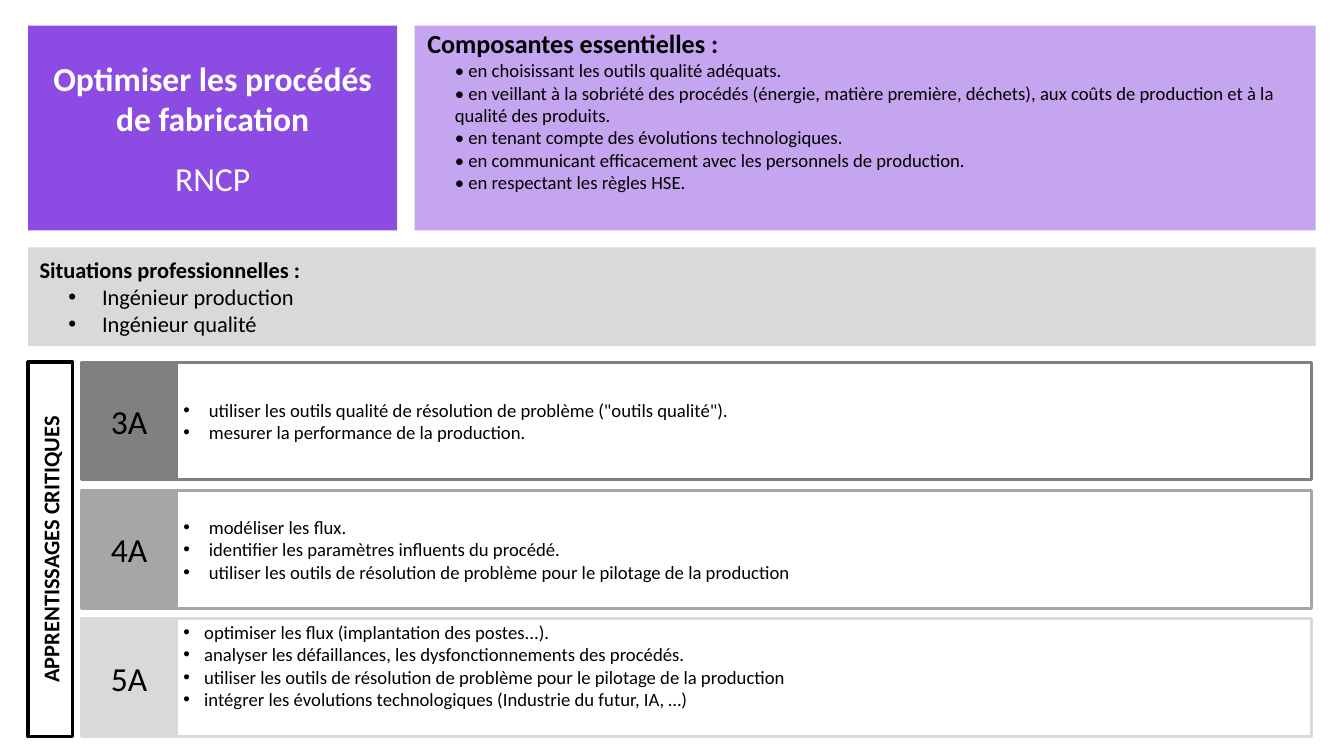
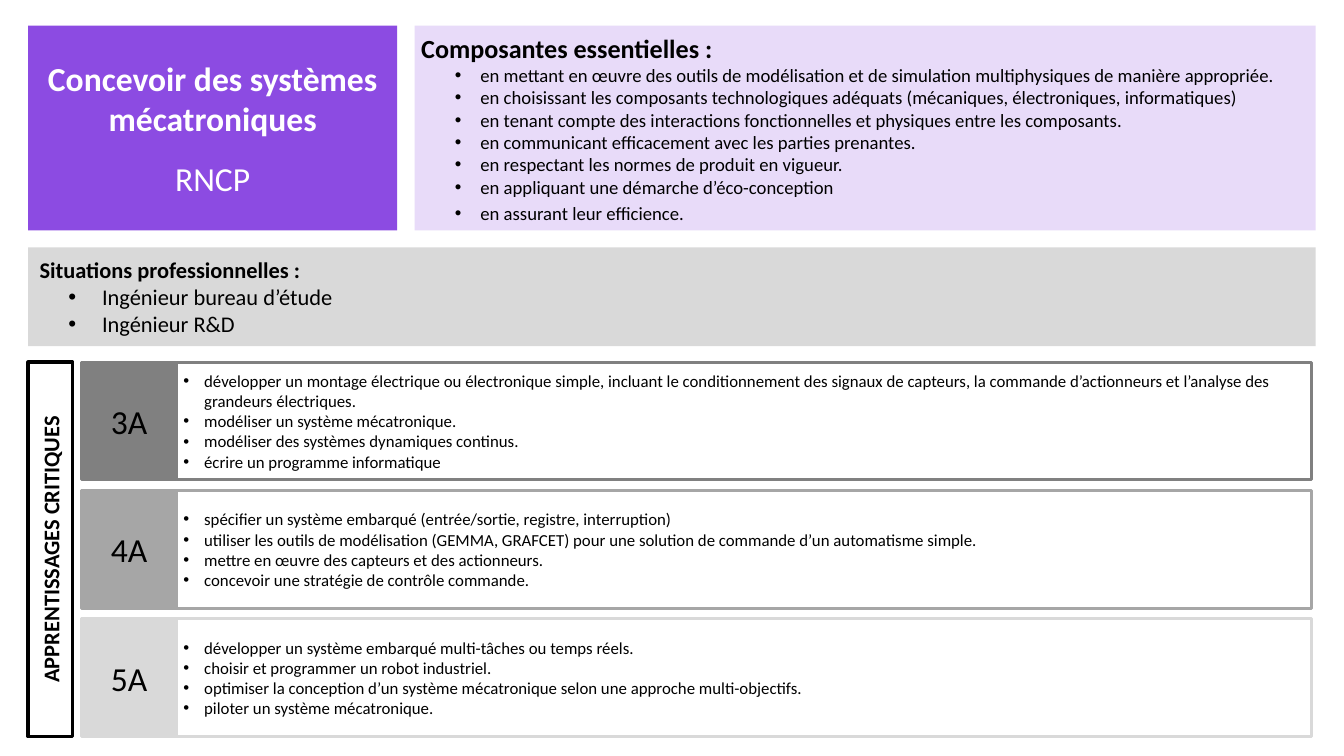
import pptx
import pptx.dml.color
import pptx.enum.shapes
import pptx.enum.text
import pptx.oxml.ns
import pptx.util
from lxml import etree

Inches = pptx.util.Inches
Pt = pptx.util.Pt
ALIGN = pptx.enum.text.PP_ALIGN
ANCHOR = pptx.enum.text.MSO_ANCHOR

FONT = "Calibri"
PURPLE, BLACK, WHITE, LIGHT_GREY = "8C4BE2", "000000", "FFFFFF", "D9D9D9"
YEARS = [("3A", "808080"), ("4A", "A6A6A6"), ("5A", LIGHT_GREY)]

LEFT, RIGHT = 0.42, 19.58
HEADER_TOP, HEADER_HEIGHT = 0.38, 3.05
TITLE_WIDTH, COMPONENTS_LEFT = 5.49, 6.17
ROWS_TOP, ROW_HEIGHT, ROW_STEP = 5.39, 1.75, 1.91
SIDE_WIDTH = 0.66
YEAR_LEFT, YEAR_WIDTH, ROWS_RIGHT = 1.21, 1.42, 19.52

# Indents are (left margin, first line); a "top" inset anchors the text at the top.
SKILLS = [
    {
        "title": "Optimiser les procédés de fabrication",
        "components": {
            "opacity": 50, "top": 0.03, "heading_margin": 0.09,
            "indent": (0.5, 0), "bullet": False, "last_gap": 0,
            "items": [
                "• en choisissant les outils qualité adéquats.",
                "• en veillant à la sobriété des procédés (énergie, matière première, déchets), "
                "aux coûts de production et à la qualité des produits.",
                "• en tenant compte des évolutions technologiques.",
                "• en communicant efficacement avec les personnels de production.",
                "• en respectant les règles HSE.",
            ],
        },
        "situations": ["Ingénieur production", "Ingénieur qualité"],
        "size": 20,
        "years": [
            {"margin": 0.38, "items": [
                'utiliser les outils qualité de résolution de problème ("outils qualité").',
                "mesurer la performance de la production.",
            ]},
            {"margin": 0.38, "items": [
                "modéliser les flux.",
                "identifier les paramètres influents du procédé.",
                "utiliser les outils de résolution de problème pour le pilotage de la production",
            ]},
            {"margin": 0.31, "top": 0.03, "items": [
                "optimiser les flux (implantation des postes...).",
                "analyser les défaillances, les dysfonctionnements des procédés.",
                "utiliser les outils de résolution de problème pour le pilotage de la production",
                "intégrer les évolutions technologiques (Industrie du futur, IA, …)",
            ]},
        ],
    },
    {
        "title": "Concevoir des systèmes mécatroniques",
        "components": {
            "opacity": 20, "top": 0.1, "heading_margin": 0,
            "indent": (0.88, -0.38), "bullet": True, "last_gap": 4,
            "items": [
                "en mettant en œuvre des outils de modélisation et de simulation "
                "multiphysiques de manière appropriée.",
                "en choisissant les composants technologiques adéquats "
                "(mécaniques, électroniques, informatiques)",
                "en tenant compte des interactions fonctionnelles et physiques entre les composants.",
                "en communicant efficacement avec les parties prenantes.",
                "en respectant les normes de produit en vigueur.",
                "en appliquant une démarche d’éco-conception",
                "en assurant leur efficience.",
            ],
        },
        "situations": ["Ingénieur bureau d’étude", "Ingénieur R&D"],
        "size": 18,
        "years": [
            {"margin": 0.31, "items": [
                "développer un montage électrique ou électronique simple, incluant le "
                "conditionnement des signaux de capteurs, la commande d’actionneurs et "
                "l’analyse des grandeurs électriques.",
                "modéliser un système mécatronique.",
                "modéliser des systèmes dynamiques continus.",
                "écrire un programme informatique",
            ]},
            {"margin": 0.31, "items": [
                "spécifier un système embarqué (entrée/sortie, registre, interruption)",
                "utiliser les outils de modélisation (GEMMA, GRAFCET) pour une solution de "
                "commande d’un automatisme simple.",
                "mettre en œuvre des capteurs et des actionneurs.",
                "concevoir une stratégie de contrôle commande.",
            ]},
            {"margin": 0.31, "items": [
                "développer un système embarqué multi-tâches ou temps réels.",
                "choisir et programmer un robot industriel.",
                "optimiser la conception d’un système mécatronique selon une approche multi-objectifs.",
                "piloter un système mécatronique.",
            ]},
        ],
    },
]


def color(value):
    return pptx.dml.color.RGBColor.from_string(value)


def add_box(slide, left, top, width, height, fill, line=None, line_width=3, text_top=None):
    shape = slide.shapes.add_shape(
        pptx.enum.shapes.MSO_SHAPE.RECTANGLE,
        Inches(left), Inches(top), Inches(width), Inches(height))
    shape.shadow.inherit = False
    shape.fill.solid()
    shape.fill.fore_color.rgb = color(fill)
    if line:
        shape.line.color.rgb = color(line)
        shape.line.width = Pt(line_width)
    else:
        shape.line.fill.background()
    frame = shape.text_frame
    frame.word_wrap = True
    frame.vertical_anchor = ANCHOR.MIDDLE
    if text_top is not None:
        frame.vertical_anchor = ANCHOR.TOP
        frame.margin_top = Inches(text_top)
    return shape


def set_opacity(shape, percent):
    namespace = pptx.oxml.ns.qn
    fill_color = shape.fill._xPr.find(namespace("a:solidFill")).find(namespace("a:srgbClr"))
    etree.SubElement(fill_color, namespace("a:alpha"), val=str(percent * 1000))


def add_paragraph(shape, text, size, bold=False, font_color=BLACK, align=ALIGN.LEFT,
                  indent=(0, 0), bullet=False):
    """Fill the first paragraph of the shape if it is free, otherwise append one."""
    frame = shape.text_frame
    paragraph = frame.paragraphs[0]
    if paragraph.runs:
        paragraph = frame.add_paragraph()
    paragraph.add_run().text = text
    paragraph.alignment = align
    properties = paragraph._p.get_or_add_pPr()
    properties.set("marL", str(Inches(indent[0])))
    properties.set("indent", str(Inches(indent[1])))
    if bullet:
        etree.SubElement(properties, pptx.oxml.ns.qn("a:buFont"), typeface="Arial")
        etree.SubElement(properties, pptx.oxml.ns.qn("a:buChar"), char="•")
    font = paragraph.font
    font.name, font.size, font.bold = FONT, Pt(size), bold
    font.color.rgb = color(font_color)
    return paragraph


def add_title(slide, title):
    box = add_box(slide, LEFT, HEADER_TOP, TITLE_WIDTH, HEADER_HEIGHT, PURPLE)
    add_paragraph(box, title, 36, True, WHITE, ALIGN.CENTER)
    add_paragraph(box, "RNCP", 36, False, WHITE, ALIGN.CENTER).line_spacing = 1.5


def add_components(slide, components):
    box = add_box(slide, COMPONENTS_LEFT, HEADER_TOP, RIGHT - COMPONENTS_LEFT, HEADER_HEIGHT,
                  PURPLE, text_top=components["top"])
    set_opacity(box, components["opacity"])
    add_paragraph(box, "Composantes essentielles :", 28, True,
                  indent=(components["heading_margin"], 0))
    for item in components["items"]:
        paragraph = add_paragraph(box, item, 20, indent=components["indent"],
                                  bullet=components["bullet"])
    paragraph.space_before = Pt(components["last_gap"])


def add_situations(slide, situations):
    box = add_box(slide, LEFT, 3.68, RIGHT - LEFT, 1.47, LIGHT_GREY)
    add_paragraph(box, "Situations professionnelles :", 24, True, indent=(0.07, 0))
    for situation in situations:
        add_paragraph(box, situation, 24, indent=(1, -0.5), bullet=True)


def add_side_label(slide):
    length = (len(YEARS) - 1) * ROW_STEP + ROW_HEIGHT
    label = add_box(slide, LEFT + (SIDE_WIDTH - length) / 2, ROWS_TOP + (length - SIDE_WIDTH) / 2,
                    length, SIDE_WIDTH, WHITE, BLACK, 3.75)
    label.rotation = 270
    add_paragraph(label, "APPRENTISSAGES CRITIQUES", 24, True, align=ALIGN.CENTER)


def add_years(slide, years, size):
    row_left = YEAR_LEFT + YEAR_WIDTH
    for index, ((name, grey), year) in enumerate(zip(YEARS, years)):
        top = ROWS_TOP + index * ROW_STEP
        row = add_box(slide, row_left, top, ROWS_RIGHT - row_left, ROW_HEIGHT, WHITE, grey,
                      text_top=year.get("top"))
        for item in year["items"]:
            add_paragraph(row, item, size, indent=(year["margin"], -year["margin"]), bullet=True)
        label = add_box(slide, YEAR_LEFT, top, YEAR_WIDTH, ROW_HEIGHT, grey, grey)
        add_paragraph(label, name, 36, align=ALIGN.CENTER)


def main():
    presentation = pptx.Presentation()
    presentation.slide_width, presentation.slide_height = Inches(20), Inches(11.25)
    for skill in SKILLS:
        slide = presentation.slides.add_slide(presentation.slide_layouts[6])
        add_situations(slide, skill["situations"])
        add_years(slide, skill["years"], skill["size"])
        add_side_label(slide)
        add_title(slide, skill["title"])
        add_components(slide, skill["components"])
    presentation.save("out.pptx")


if __name__ == "__main__":
    main()
